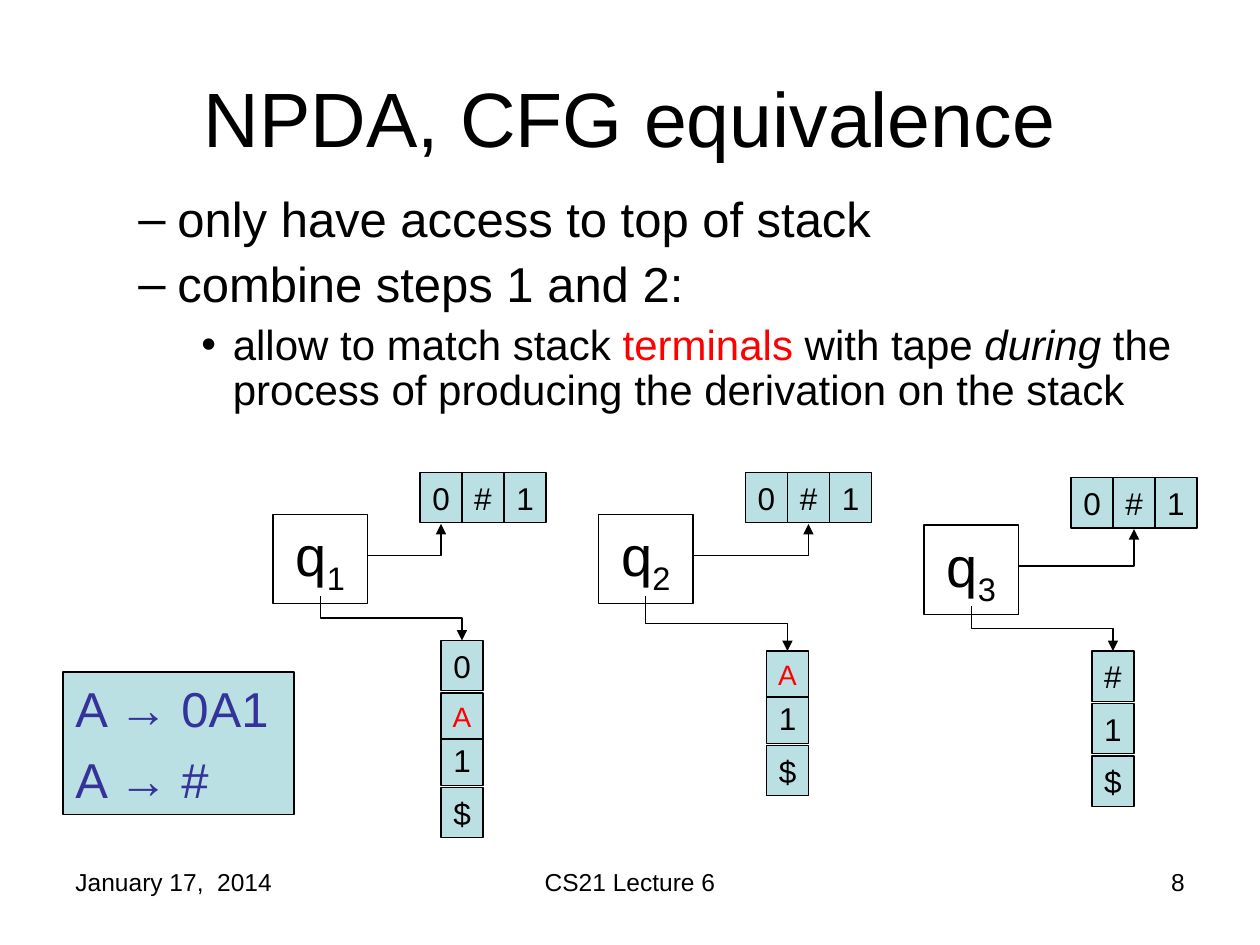
from dataclasses import dataclass
from typing import NamedTuple, Optional

import lxml.etree
import pptx
import pptx.dml.color
import pptx.enum.shapes
import pptx.enum.text
import pptx.util
from pptx.oxml.ns import qn

ALIGN = pptx.enum.text.PP_ALIGN
ANCHOR = pptx.enum.text.MSO_ANCHOR
CONNECTOR = pptx.enum.shapes.MSO_CONNECTOR
RECTANGLE = pptx.enum.shapes.MSO_SHAPE.RECTANGLE

SLIDE_WIDTH, SLIDE_HEIGHT = pptx.util.Inches(10), pptx.util.Inches(7.5)
COLUMNS, ROWS = 120, 90

# Sizes in grid units
CELL_WIDTH, CELL_HEIGHT, CELL_STEP = 4, 4.8, 5
VARIABLE_HEIGHT, VARIABLE_STEP = 4.4, 4
STATE_WIDTH, STATE_HEIGHT = 9, 8.5
TAPE_OFFSET, STACK_OFFSET = 14, 16


@dataclass(frozen=True)
class Theme:
    font: str = "Arial"
    ink: str = "000000"
    accent: str = "FF0000"
    grammar: str = "333399"
    cell: str = "BBE0E3"
    line_width: float = 0.75
    title_size: float = 44
    state_size: float = 32
    point_size: float = 28
    detail_size: float = 24
    symbol_size: float = 18
    variable_size: float = 16
    footer_size: float = 14


THEME = Theme()


class Box(NamedTuple):
    column: float
    row: float
    columns: float
    rows: float


class Span(NamedTuple):
    text: str
    color: str = THEME.ink
    italic: bool = False
    subscript: bool = False


class Bullet(NamedTuple):
    mark: str
    level: int
    indent: float
    hanging: float


@dataclass(frozen=True)
class Configuration:
    """One machine state with its tape, reading position and stack (top first)."""
    number: str
    column: float
    state_row: float
    tape_row: float
    read_cell: int
    stack_row: float
    stack: str


DASH = Bullet("–", 1, 0.81, 0.31)
DOT = Bullet("•", 2, 1.25, 0.25)

CONFIGURATIONS = (
    Configuration("1", 26, 49, 45, 0, 61, "0A1$"),
    Configuration("2", 57, 49, 45, 1, 62, "A1$"),
    Configuration("3", 88, 50, 45.5, 1, 62, "#1$"),
)


def across(columns: float) -> int:
    return round(SLIDE_WIDTH * columns / COLUMNS)


def down(rows: float) -> int:
    return round(SLIDE_HEIGHT * rows / ROWS)


def rgb(color: str):
    return pptx.dml.color.RGBColor.from_string(color)


def placed(box: Box) -> tuple:
    return across(box.column), down(box.row), across(box.columns), down(box.rows)


def write(frame, *spans: Span, size: float, align=ALIGN.LEFT, before: float = 0,
          spacing: Optional[float] = None, bullet: Optional[Bullet] = None,
          anchor=ANCHOR.TOP, wrap: bool = True, first: bool = True) -> None:
    """Write the spans as one paragraph, a further one unless it is the first."""
    frame.word_wrap = wrap
    frame.vertical_anchor = anchor
    paragraph = frame.paragraphs[0] if first else frame.add_paragraph()
    paragraph.alignment = align
    paragraph.space_before = pptx.util.Pt(before)
    if spacing:
        paragraph.line_spacing = spacing
    if bullet:
        paragraph.level = bullet.level
        properties = paragraph._p.get_or_add_pPr()
        properties.set("marL", str(pptx.util.Inches(bullet.indent)))
        properties.set("indent", str(-pptx.util.Inches(bullet.hanging)))
        color = lxml.etree.SubElement(properties, qn("a:buClr"))
        lxml.etree.SubElement(color, qn("a:srgbClr"), val=THEME.ink)
        lxml.etree.SubElement(properties, qn("a:buFont"), typeface=THEME.font)
        lxml.etree.SubElement(properties, qn("a:buChar"), char=bullet.mark)
    for span in spans:
        run = paragraph.add_run()
        run.text = span.text
        run.font.name = THEME.font
        run.font.size = pptx.util.Pt(size)
        run.font.color.rgb = rgb(span.color)
        run.font.italic = span.italic
        if span.subscript:
            run._r.get_or_add_rPr().set("baseline", "-25000")


def text_area(slide, box: Box):
    return slide.shapes.add_textbox(*placed(box)).text_frame


def outline(line) -> None:
    line.color.rgb = rgb(THEME.ink)
    line.width = pptx.util.Pt(THEME.line_width)


def framed_area(slide, box: Box, fill: Optional[str] = None):
    shape = slide.shapes.add_shape(RECTANGLE, *placed(box))
    shape.shadow.inherit = False
    if fill:
        shape.fill.solid()
        shape.fill.fore_color.rgb = rgb(fill)
    else:
        shape.fill.background()
    outline(shape.line)
    return shape.text_frame


def draw_cell(slide, column: float, row: float, symbol: str) -> None:
    variable = symbol.isalpha()
    height = VARIABLE_HEIGHT if variable else CELL_HEIGHT
    frame = framed_area(slide, Box(column, row, CELL_WIDTH, height), THEME.cell)
    write(frame, Span(symbol, THEME.accent if variable else THEME.ink),
          size=THEME.variable_size if variable else THEME.symbol_size,
          align=ALIGN.CENTER, wrap=False)


def elbow_arrow(slide, begin_x: int, begin_y: int, end_x: int, end_y: int):
    arrow = slide.shapes.add_connector(CONNECTOR.ELBOW, begin_x, begin_y, end_x, end_y)
    outline(arrow.line)
    lxml.etree.SubElement(arrow.line._get_or_add_ln(), qn("a:tailEnd"), type="triangle")
    properties = arrow._element.spPr
    lxml.etree.SubElement(properties, qn("a:effectLst"))
    return properties


def tape_arrow(slide, column: float, row: float, to_column: float, to_row: float) -> None:
    """Go sideways, then straight to the tape: a single bend."""
    properties = elbow_arrow(slide, across(column), down(row), across(to_column), down(to_row))
    properties.find(qn("a:prstGeom")).set("prst", "bentConnector2")


def stack_arrow(slide, column: float, row: float, to_column: float, to_row: float) -> None:
    """Go down, across and down: an elbow turned by three quarters about its centre."""
    middle_x, middle_y = across((column + to_column) / 2), down((row + to_row) / 2)
    half_width, half_height = across((to_column - column) / 2), down((to_row - row) / 2)
    properties = elbow_arrow(slide, middle_x + half_height, middle_y - half_width,
                             middle_x - half_height, middle_y + half_width)
    properties.find(qn("a:xfrm")).set("rot", str(270 * 60000))


def draw_configuration(slide, machine: Configuration) -> None:
    tape_column = machine.column + TAPE_OFFSET
    stack_column = machine.column + STACK_OFFSET
    for index, symbol in enumerate("0#1"):
        draw_cell(slide, tape_column + index * CELL_WIDTH, machine.tape_row, symbol)

    state = framed_area(slide, Box(machine.column, machine.state_row, STATE_WIDTH, STATE_HEIGHT))
    write(state, Span("q"), Span(machine.number, subscript=True),
          size=THEME.state_size, align=ALIGN.CENTER)
    tape_arrow(slide, machine.column + STATE_WIDTH, machine.state_row + 3.9,
               tape_column + (machine.read_cell + 0.5) * CELL_WIDTH, machine.tape_row + 4.9)
    stack_arrow(slide, machine.column + STATE_WIDTH / 2, machine.state_row + 7.75,
                stack_column + CELL_WIDTH / 2, machine.stack_row)

    stack_rows, row = [], machine.stack_row
    for symbol in machine.stack:
        stack_rows.append((row, symbol))
        row += VARIABLE_STEP if symbol.isalpha() else CELL_STEP
    for row, symbol in reversed(stack_rows):
        draw_cell(slide, stack_column, row, symbol)


def main() -> None:
    deck = pptx.Presentation()
    deck.slide_width, deck.slide_height = SLIDE_WIDTH, SLIDE_HEIGHT
    slide = deck.slides.add_slide(deck.slide_layouts[6])

    for column, columns, text, align in ((6, 28, "January 17,  2014", ALIGN.LEFT),
                                         (41, 38, "CS21 Lecture 6", ALIGN.CENTER),
                                         (86, 28, "8", ALIGN.RIGHT)):
        write(text_area(slide, Box(column, 82, columns, 6.2)), Span(text),
              size=THEME.footer_size, align=align)

    write(text_area(slide, Box(6, 3.6, 108, 15)), Span("NPDA, CFG equivalence"),
          size=THEME.title_size, align=ALIGN.CENTER, anchor=ANCHOR.MIDDLE)

    points = text_area(slide, Box(6, 18, 108, 23))
    write(points, Span("only have access to top of stack"),
          size=THEME.point_size, before=7, spacing=0.9, bullet=DASH)
    write(points, Span("combine steps 1 and 2:"),
          size=THEME.point_size, before=7, spacing=0.9, bullet=DASH, first=False)
    write(points, Span("allow to match stack "), Span("terminals", THEME.accent),
          Span(" with tape "), Span("during", italic=True),
          Span(" the process of producing the derivation on the stack"),
          size=THEME.detail_size, before=6, spacing=0.9, bullet=DOT, first=False)

    for machine in CONFIGURATIONS:
        draw_configuration(slide, machine)

    grammar = framed_area(slide, Box(6, 64, 22, 13.6), THEME.cell)
    for index, rule in enumerate(("A → 0A1", "A → #")):
        write(grammar, Span(rule, THEME.grammar), size=THEME.point_size,
              before=7, first=index == 0)

    deck.save("out.pptx")


if __name__ == "__main__":
    main()
